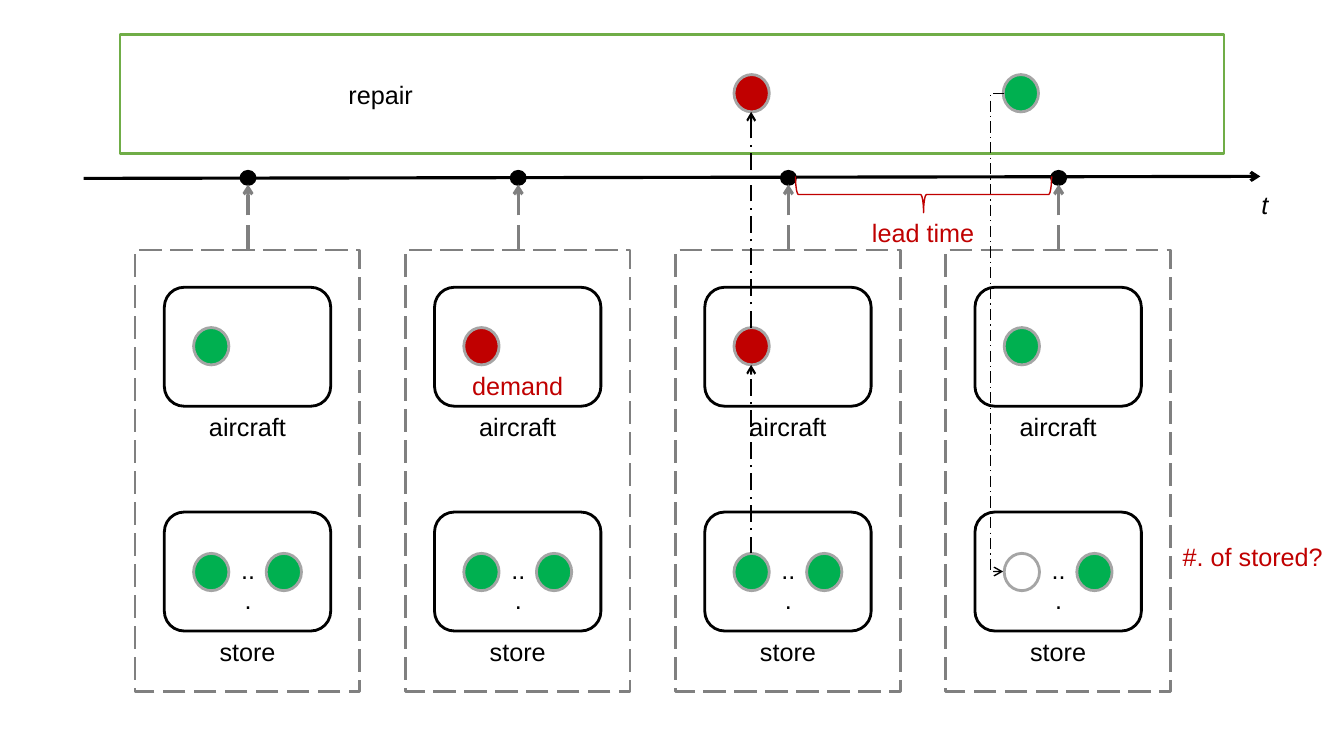
from pptx import Presentation
from pptx.dml.color import RGBColor
from pptx.enum.dml import MSO_LINE
from pptx.enum.shapes import MSO_CONNECTOR, MSO_SHAPE
from pptx.enum.text import MSO_AUTO_SIZE, PP_ALIGN
from pptx.oxml.ns import qn
from pptx.util import Inches, Pt
from lxml import etree

RECT, ROUND, OVAL = MSO_SHAPE.RECTANGLE, MSO_SHAPE.ROUNDED_RECTANGLE, MSO_SHAPE.OVAL
BRACE = MSO_SHAPE.LEFT_BRACE
DASH, DASH_DOT = MSO_LINE.LONG_DASH, MSO_LINE.LONG_DASH_DOT
STRAIGHT, ELBOW = MSO_CONNECTOR.STRAIGHT, MSO_CONNECTOR.ELBOW
CENTER, GROW = PP_ALIGN.CENTER, MSO_AUTO_SIZE.SHAPE_TO_FIT_TEXT
BLACK, WHITE, GREY, SILVER = "000000", "FFFFFF", "808080", "A5A5A5"
GREEN, RED, LIME = "00B050", "C00000", "70AD47"

LEFT, PITCH = 1.34, 2.68      # first time step and step to the next
DISC_W, DISC_H = 0.35, 0.37
CRAFT_Y, STORE_Y, FIX_Y = 3.25, 5.49, 0.74
PLANES = [GREEN, RED, RED, GREEN]
STOCKS = [GREEN, GREEN, GREEN, None]


def color(hex_text):
    return RGBColor.from_string(hex_text)


class Board:
    def __init__(self, slide, font="Arial", size=18):
        self.shapes = slide.shapes
        self.font, self.size = font, size

    def pen(self, line, ink, width, dash):
        line.color.rgb = color(ink)
        line.width = Pt(width)
        if dash:
            line.dash_style = dash

    def shape(self, kind, x, y, w, h, fill=None, ink=BLACK, width=2, dash=None):
        item = self.shapes.add_shape(kind, Inches(x), Inches(y), Inches(w), Inches(h))
        item.shadow.inherit = False
        if fill:
            item.fill.solid()
            item.fill.fore_color.rgb = color(fill)
        else:
            item.fill.background()
        self.pen(item.line, ink, width, dash)
        return item

    def disc(self, x, y, fill):
        self.shape(OVAL, x, y, DISC_W, DISC_H, fill, SILVER)

    def text(self, words, x, y, w=1.65, h=0.4, ink=BLACK, italic=False):
        box = self.shapes.add_textbox(Inches(x), Inches(y), Inches(w), Inches(h))
        frame = box.text_frame
        frame.word_wrap = True
        frame.auto_size = GROW
        para = frame.paragraphs[0]
        para.alignment = CENTER
        run = para.add_run()
        run.text = words
        run.font.name, run.font.size = self.font, Pt(self.size)
        run.font.italic = italic
        run.font.color.rgb = color(ink)

    def arrow(self, x1, y1, x2, y2, ink=BLACK, width=2.25, dash=None, kind=STRAIGHT):
        item = self.shapes.add_connector(
            kind, Inches(x1), Inches(y1), Inches(x2), Inches(y2))
        self.pen(item.line, ink, width, dash)
        props = item._element.spPr
        etree.SubElement(props.find(qn("a:ln")), qn("a:tailEnd"), type="arrow")
        etree.SubElement(props, qn("a:effectLst"))
        return item

    def elbow(self, x1, y1, x2, y2, bend, **style):
        """Draw an arrow whose upright leg stands at x = bend."""
        item = self.arrow(x1, y1, x2, y2, kind=ELBOW, **style)
        geom = item._element.spPr.find(qn("a:prstGeom"))
        guides = geom.get_or_add_avLst()
        ratio = round((bend - x1) / (x2 - x1) * 100000)
        etree.SubElement(guides, qn("a:gd"), name="adj1", fmla=f"val {ratio}")

    def state(self, x, y, name):
        self.shape(ROUND, x, y, 1.65, 1.18, WHITE)
        self.text(name, x, y + 1.18)

    def step(self, x, plane, stock):
        """Draw one time step with its aircraft, its store and its mark on the axis."""
        self.state(x + 0.29, 5.08, "store")
        self.state(x + 0.29, 2.85, "aircraft")
        self.disc(x + 0.58, CRAFT_Y, plane)
        self.disc(x + 0.58, STORE_Y, stock)
        self.disc(x + 1.3, STORE_Y, GREEN)
        self.text("...", x + 0.93, 5.45, w=0.38)
        self.shape(RECT, x, 2.48, 2.23, 4.38, ink=GREY, dash=DASH)
        mid = x + 1.12
        self.shape(OVAL, mid - 0.07, 1.7, 0.14, 0.13, BLACK)
        self.arrow(mid, 2.48, mid, 1.83, GREY, dash=DASH)


def main():
    deck = Presentation()
    deck.slide_width, deck.slide_height = Inches(13.33), Inches(7.5)
    board = Board(deck.slides.add_slide(deck.slide_layouts[6]))

    board.shape(RECT, 1.19, 0.34, 10.95, 1.18, WHITE, LIME)
    board.text("repair", 2.95, FIX_Y)
    board.arrow(0.83, 1.77, 12.5, 1.75)
    board.text("t", 12.26, 1.83, w=0.57, italic=True)

    for i, (plane, stock) in enumerate(zip(PLANES, STOCKS)):
        board.step(LEFT + i * PITCH, plane, stock)

    for x, fill in ((7.28, RED), (9.95, GREEN)):
        board.disc(x, FIX_Y, fill)
    for start, end in ((CRAFT_Y, FIX_Y), (STORE_Y, CRAFT_Y)):
        board.arrow(7.45, start, 7.45, end + DISC_H, width=1.5, dash=DASH_DOT)
    board.elbow(9.96, 0.93, 9.95, 5.67, bend=9.82, width=1, dash=DASH_DOT)

    brace = board.shape(BRACE, 8.98, 0.66, 0.36, 2.54, ink=RED, width=1)
    brace.rotation = 270
    board.text("lead time", 8.33, 2.11, ink=RED)
    board.text("demand", 4.31, 3.62, ink=RED)
    board.text("#. of stored?", 11.6, 5.32, h=0.71, ink=RED)

    deck.save("out.pptx")


if __name__ == "__main__":
    main()
